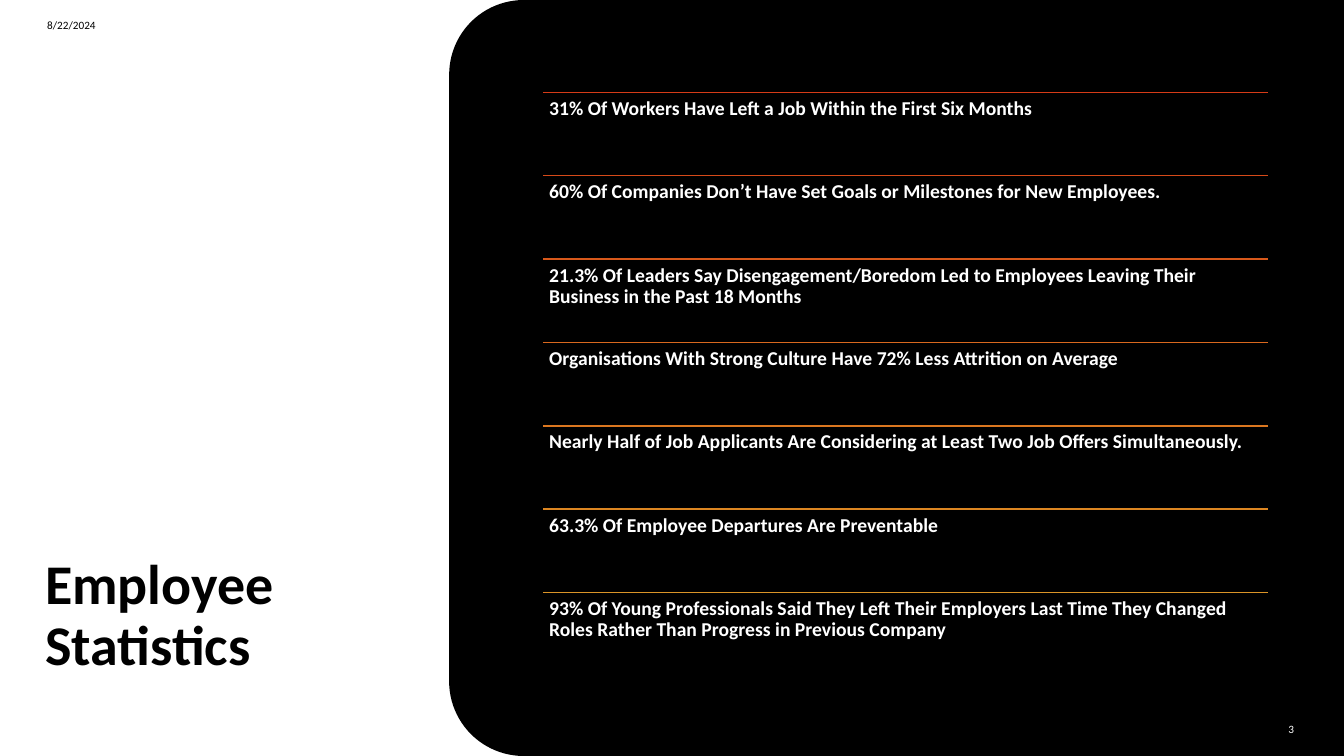
from lxml import etree
from pptx import Presentation
from pptx.dml.color import RGBColor
from pptx.enum.shapes import MSO_CONNECTOR, MSO_SHAPE
from pptx.enum.text import MSO_ANCHOR, PP_ALIGN
from pptx.oxml.ns import qn
from pptx.util import Cm, Pt

RECTANGLE = MSO_SHAPE.RECTANGLE
TWO_ROUND_CORNERS = MSO_SHAPE.ROUND_2_SAME_RECTANGLE
STRAIGHT = MSO_CONNECTOR.STRAIGHT
TOP, MIDDLE, BOTTOM = MSO_ANCHOR.TOP, MSO_ANCHOR.MIDDLE, MSO_ANCHOR.BOTTOM
LEFT, RIGHT = PP_ALIGN.LEFT, PP_ALIGN.RIGHT

BLACK = RGBColor(0x00, 0x00, 0x00)
WHITE = RGBColor(0xFF, 0xFF, 0xFF)
FONT = "Calibri"

# Content: each statistic with the colour of the rule above it
TITLE = "Employee Statistics"
DATE = "8/22/2024"
PAGE = "3"
STATISTICS = [
    ("31% Of Workers Have Left a Job Within the First Six Months",
     RGBColor(0xD5, 0x3B, 0x17)),
    ("60% Of Companies Don’t Have Set Goals or Milestones for New Employees.",
     RGBColor(0xD6, 0x4A, 0x19)),
    ("21.3% Of Leaders Say Disengagement/Boredom Led to Employees Leaving "
     "Their Business in the Past 18 Months",
     RGBColor(0xD8, 0x59, 0x1B)),
    ("Organisations With Strong Culture Have 72% Less Attrition on Average",
     RGBColor(0xD9, 0x68, 0x1E)),
    ("Nearly Half of Job Applicants Are Considering at Least Two Job Offers "
     "Simultaneously.",
     RGBColor(0xDB, 0x77, 0x20)),
    ("63.3% Of Employee Departures Are Preventable",
     RGBColor(0xDC, 0x86, 0x22)),
    ("93% Of Young Professionals Said They Left Their Employers Last Time They "
     "Changed Roles Rather Than Progress in Previous Company",
     RGBColor(0xDB, 0x94, 0x27)),
]

# Layout in centimetres
SLIDE_W, SLIDE_H = 33.87, 19.05
PANEL_LEFT, PANEL_RADIUS = 11.32, 1.88
LIST_LEFT, LIST_TOP, LIST_W, ROW_H = 13.69, 2.33, 18.26, 2.1
ROW_INSET = 0.15


def add_block(shapes, kind, left, top, width, height, color):
    block = shapes.add_shape(kind, Cm(left), Cm(top), Cm(width), Cm(height))
    block.shadow.inherit = False
    block.fill.solid()
    block.fill.fore_color.rgb = color
    block.line.fill.background()
    return block


def add_text(shapes, text, left, top, width, height, size, color, bold=False,
             anchor=MIDDLE, align=LEFT, line_spacing=1.0, inset=None):
    box = shapes.add_textbox(Cm(left), Cm(top), Cm(width), Cm(height))
    frame = box.text_frame
    frame.word_wrap = True
    frame.vertical_anchor = anchor
    if inset is not None:
        frame.margin_left = frame.margin_right = Cm(inset)
        frame.margin_top = frame.margin_bottom = Cm(inset)
    paragraph = frame.paragraphs[0]
    paragraph.text = text
    paragraph.alignment = align
    paragraph.line_spacing = line_spacing
    font = paragraph.font
    font.name, font.size, font.bold = FONT, Pt(size), bold
    font.color.rgb = color


def add_rule(shapes, left, top, width, color):
    rule = shapes.add_connector(STRAIGHT, Cm(left), Cm(top),
                                Cm(left + width), Cm(top))
    rule.line.color.rgb = color
    rule.line.width = Pt(1)
    etree.SubElement(rule._element.spPr, qn("a:effectLst"))


presentation = Presentation()
presentation.slide_width = Cm(SLIDE_W)
presentation.slide_height = Cm(SLIDE_H)
slide = presentation.slides.add_slide(presentation.slide_layouts[6])
slide.background.fill.solid()
slide.background.fill.fore_color.rgb = BLACK
shapes = slide.shapes

# White page with title and date
add_block(shapes, RECTANGLE, 0, 0, SLIDE_W, SLIDE_H, WHITE)
add_text(shapes, TITLE, 0.89, 2.29, 8.97, 14.91, 40, BLACK, bold=True,
         anchor=BOTTOM, line_spacing=0.9)
add_text(shapes, DATE, 0.94, 0.18, 7.62, 0.89, 8, BLACK)

# Black panel: a shape with two round top corners, turned to face left
panel_w = SLIDE_W - PANEL_LEFT
panel = add_block(shapes, TWO_ROUND_CORNERS,
                  PANEL_LEFT + (panel_w - SLIDE_H) / 2, (SLIDE_H - panel_w) / 2,
                  SLIDE_H, panel_w, BLACK)
panel.rotation = 270
panel.adjustments[0] = PANEL_RADIUS / SLIDE_H
add_text(shapes, PAGE, 31.67, 17.86, 1.19, 1.02, 8, WHITE, align=RIGHT)

# Statistics, one rule and one line of text per row
for row, (statistic, rule_color) in enumerate(STATISTICS):
    row_top = LIST_TOP + row * ROW_H
    add_rule(shapes, LIST_LEFT, row_top, LIST_W, rule_color)
    add_text(shapes, statistic, LIST_LEFT, row_top, LIST_W, ROW_H, 14, WHITE,
             bold=True, anchor=TOP, line_spacing=0.9, inset=ROW_INSET)

presentation.save("out.pptx")
